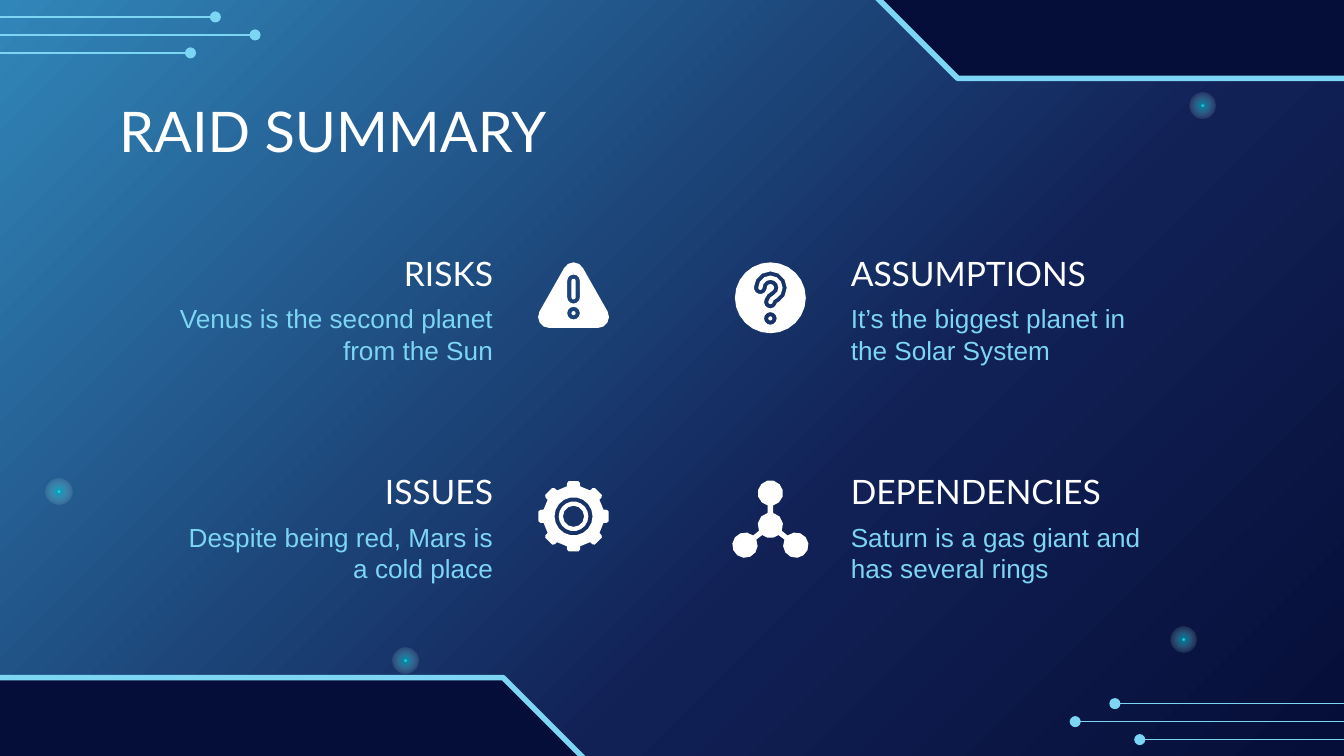
"""Build the RAID summary slide with circuit decoration and four icons."""
from math import atan2, cos, degrees, radians, sin

from lxml import etree
from pptx import Presentation
from pptx.dml.color import RGBColor
from pptx.enum.shapes import MSO_CONNECTOR, MSO_SHAPE
from pptx.enum.text import MSO_ANCHOR, MSO_AUTO_SIZE, PP_ALIGN
from pptx.oxml import parse_xml
from pptx.oxml.ns import nsdecls, qn
from pptx.util import Cm, Pt

LEFT, RIGHT = PP_ALIGN.LEFT, PP_ALIGN.RIGHT
MIDDLE, NO_FIT = MSO_ANCHOR.MIDDLE, MSO_AUTO_SIZE.NONE
OVAL, SNIP = MSO_SHAPE.OVAL, MSO_SHAPE.SNIP_2_SAME_RECTANGLE
STRAIGHT = MSO_CONNECTOR.STRAIGHT

COLORS = {"white": "FFFFFF", "sky": "7CD5F3", "navy": "050E38", "indigo": "112055",
          "blue": "3186B9", "aqua": "21FFFF", "teal": "05D8E7"}

TITLE = "RAID SUMMARY"
TOPICS = [
    ("RISKS", "Venus is the second planet from the Sun", "warning"),
    ("ASSUMPTIONS", "It’s the biggest planet in the Solar System", "question"),
    ("ISSUES", "Despite being red, Mars is a cold place", "gear"),
    ("DEPENDENCIES", "Saturn is a gas giant and has several rings", "network"),
]
COLUMNS = [(3.14, RIGHT, 10.84), (15.83, LEFT, 14.56)]
TOPIC_TOP, ROW_PITCH, TOPIC_WIDTH = 4.67, 4.13, 6.43
HEADING_HEIGHT, DETAIL_HEIGHT, ICON_DROP = 0.97, 1.35, 0.96

BACKDROP = [(0, "blue", 100), (64, "indigo", 100), (100, "navy", 100)]
GLOW = [(0, "aqua", 100), (9, "teal", 48), (69, "white", 0), (100, "white", 0)]
DIAGONAL = '<a:lin ang="2700000" scaled="0"/>'
RADIAL = '<a:path path="circle"><a:fillToRect l="50000" t="50000" r="50000" b="50000"/></a:path>'
GLOWS = [(7.42, 12.24), (22.48, 1.75), (0.87, 9.04), (22.12, 11.84)]
GLOW_SIZE, GLOW_TURN = 0.49, 345.4
CORNERS = [(-1.88, 12.81, 0), (16.31, -2.1, 180)]
CIRCUIT = [(4.82, 0.66), (3.6, 1.0), (4.07, 0.32)]
CIRCUIT_LENGTH = 5.87


def rgb(name):
    return RGBColor.from_string(COLORS[name])


def arc(x, y, radius, start=0, end=360, step=30):
    count = round((end - start) / step)
    angles = [radians(start + (end - start) * i / count) for i in range(count + 1)]
    return [(x + radius * cos(a), y + radius * sin(a)) for a in angles]


def stroke(spine, radius):
    """Outline a line of points with round ends."""
    headings = []
    for i in range(len(spine)):
        (x1, y1), (x2, y2) = spine[max(i - 1, 0)], spine[min(i + 1, len(spine) - 1)]
        headings.append(degrees(atan2(y2 - y1, x2 - x1)))

    def side(turn):
        return [(x + radius * cos(radians(h + turn)), y + radius * sin(radians(h + turn)))
                for (x, y), h in zip(spine, headings)]

    end_cap = arc(*spine[-1], radius, headings[-1] - 90, headings[-1] + 90)[1:-1]
    start_cap = arc(*spine[0], radius, headings[0] + 90, headings[0] + 270)[1:-1]
    return side(-90) + end_cap + side(90)[::-1] + start_cap


def gear_outline():
    tooth = [(-12.5, 0.58), (-11, 0.64), (-8, 0.67), (8, 0.67), (11, 0.64), (12.5, 0.58)]
    return [(r * cos(radians(turn + a)), r * sin(radians(turn + a)))
            for turn in range(0, 360, 45) for a, r in tooth]


def network_outline():
    hub_y, radius, reach, gap = 0.17, 0.24, 0.61, 12
    arms = [-90, 38, 142, 270]
    outline = []
    for arm, following in zip(arms, arms[1:]):
        x, y = reach * cos(radians(arm)), hub_y + reach * sin(radians(arm))
        outline += arc(x, y, radius, arm - 180 + gap, arm + 180 - gap)
        outline += arc(0, hub_y, radius, arm + gap, following - gap)
    return outline


TRIANGLE = (arc(0, -0.47, 0.2, -152, -28) + arc(0.46, 0.36, 0.21, -28, 90)
            + arc(-0.46, 0.36, 0.21, 90, 208))
BAR = [(0, -0.32), (0, -0.01)]
HOOK = arc(0, -0.19, 0.19, 180, 420) + [(0.03, 0.02), (0, 0.08)]
ICONS = {
    "warning": [[TRIANGLE, stroke(BAR, 0.12), arc(0, 0.29, 0.12)],
                [stroke(BAR, 0.04)], [arc(0, 0.29, 0.04, step=45)]],
    "question": [[arc(0, 0, 0.67, step=15), stroke(HOOK, 0.12), arc(0, 0.39, 0.12)],
                 [stroke(HOOK, 0.04)], [arc(0, 0.39, 0.04, step=45)]],
    "gear": [[gear_outline(), arc(0, 0, 0.36, step=20)],
             [arc(0, 0, 0.28, step=20), arc(0, 0, 0.2)]],
    "network": [[network_outline()]],
}


def set_gradient(host, stops, direction):
    gradient = host.find(".//" + qn("a:gradFill"))
    gradient.clear()
    marks = "".join(
        f'<a:gs pos="{pos * 1000}"><a:srgbClr val="{COLORS[color]}">'
        f'<a:alpha val="{alpha * 1000}"/></a:srgbClr></a:gs>' for pos, color, alpha in stops)
    filled = parse_xml(f'<a:gradFill {nsdecls("a")}><a:gsLst>{marks}</a:gsLst>{direction}</a:gradFill>')
    gradient.extend(list(filled))


def add_glow(slide, left, top):
    glow = slide.shapes.add_shape(OVAL, Cm(left), Cm(top), Cm(GLOW_SIZE), Cm(GLOW_SIZE))
    glow.rotation = GLOW_TURN
    glow.shadow.inherit = False
    glow.line.fill.background()
    glow.fill.gradient()
    set_gradient(glow.element, GLOW, RADIAL)


def add_corner(slide, left, top, rotation):
    corner = slide.shapes.add_shape(SNIP, Cm(left), Cm(top), Cm(13.18), Cm(3.58))
    corner.adjustments[0], corner.adjustments[1] = 0.5, 0
    corner.rotation = rotation
    corner.shadow.inherit = False
    corner.fill.solid()
    corner.fill.fore_color.rgb = rgb("navy")
    corner.line.color.rgb = rgb("sky")
    corner.line.width = Pt(3)


def add_trace(slide, start, tip, y):
    trace = slide.shapes.add_connector(STRAIGHT, Cm(start), Cm(y), Cm(tip), Cm(y))
    trace.line.color.rgb = rgb("sky")
    trace.line.width = Pt(0.75)
    properties = trace.element.spPr
    etree.SubElement(properties.find(qn("a:ln")), qn("a:tailEnd"), type="oval")
    etree.SubElement(properties, qn("a:effectLst"))


def add_icon(slide, parts, x, y):
    pieces = []
    for contours in parts:
        placed = [[((x + dx) * 1000, (y + dy) * 1000) for dx, dy in c] for c in contours]
        builder = slide.shapes.build_freeform(*placed[0][0], scale=Cm(0.001))
        builder.add_line_segments(placed[0][1:])
        for hole in placed[1:]:
            builder.move_to(*hole[0])
            builder.add_line_segments(hole[1:])
        piece = builder.convert_to_shape()
        piece.shadow.inherit = False
        piece.fill.solid()
        piece.fill.fore_color.rgb = rgb("white")
        piece.line.fill.background()
        pieces.append(piece)
    if len(pieces) > 1:
        slide.shapes.add_group_shape(pieces)


def write(holder, wording, box, size, font, color, align):
    holder.left, holder.top, holder.width, holder.height = map(Cm, box)
    frame = holder.text_frame
    frame.text = wording
    frame.word_wrap = True
    frame.auto_size = NO_FIT
    frame.vertical_anchor = MIDDLE
    frame.margin_left = frame.margin_right = frame.margin_top = frame.margin_bottom = Cm(0.25)
    paragraph = frame.paragraphs[0]
    paragraph.alignment = align
    style = paragraph.runs[0].font
    style.size, style.name, style.color.rgb = Pt(size), font, rgb(color)


def main():
    deck = Presentation()
    deck.slide_width, deck.slide_height = Cm(25.4), Cm(14.29)
    slide = deck.slides.add_slide(deck.slide_layouts.get_by_name("Title Only"))
    slide.background.fill.gradient()
    set_gradient(slide.element, BACKDROP, DIAGONAL)
    for spot in GLOWS:
        add_glow(slide, *spot)
    for corner in CORNERS:
        add_corner(slide, *corner)
    for tip, y in CIRCUIT:
        add_trace(slide, tip - CIRCUIT_LENGTH, tip, y)
        add_trace(slide, 25.14 - tip + CIRCUIT_LENGTH, 25.14 - tip, y + 12.98)

    write(slide.shapes.title, TITLE, (2, 1.66, 21.41, 1.6), 30, "Lato", "white", LEFT)
    for i, (heading, detail, icon) in enumerate(TOPICS):
        left, align, icon_x = COLUMNS[i % 2]
        top = TOPIC_TOP + i // 2 * ROW_PITCH
        write(slide.shapes.add_textbox(0, 0, 0, 0), heading,
              (left, top, TOPIC_WIDTH, HEADING_HEIGHT), 18, "Lato", "white", align)
        write(slide.shapes.add_textbox(0, 0, 0, 0), detail,
              (left, top + HEADING_HEIGHT, TOPIC_WIDTH, DETAIL_HEIGHT),
              14, "Arial", "sky", align)
        add_icon(slide, ICONS[icon], icon_x, top + ICON_DROP)
    deck.save("out.pptx")


if __name__ == "__main__":
    main()
